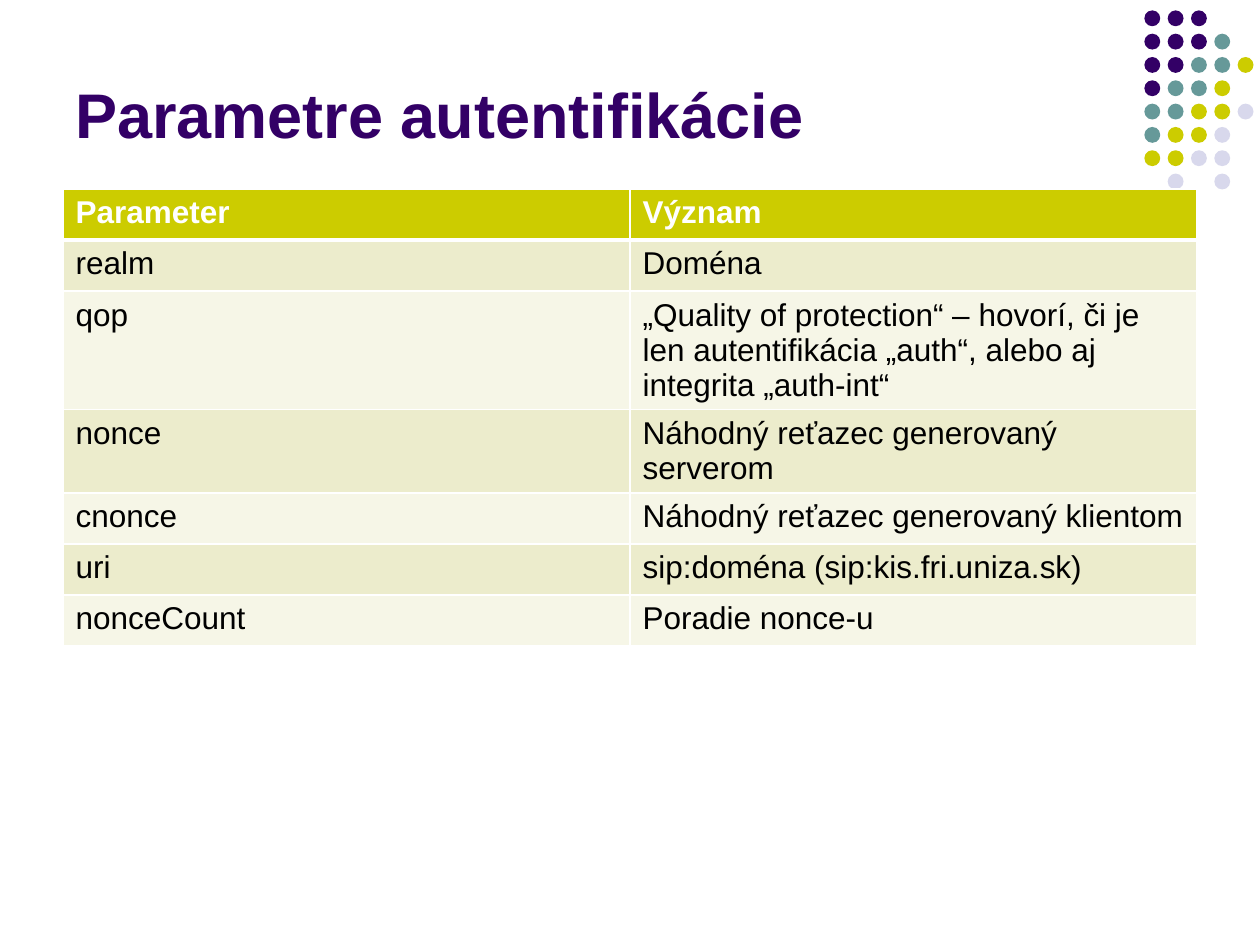
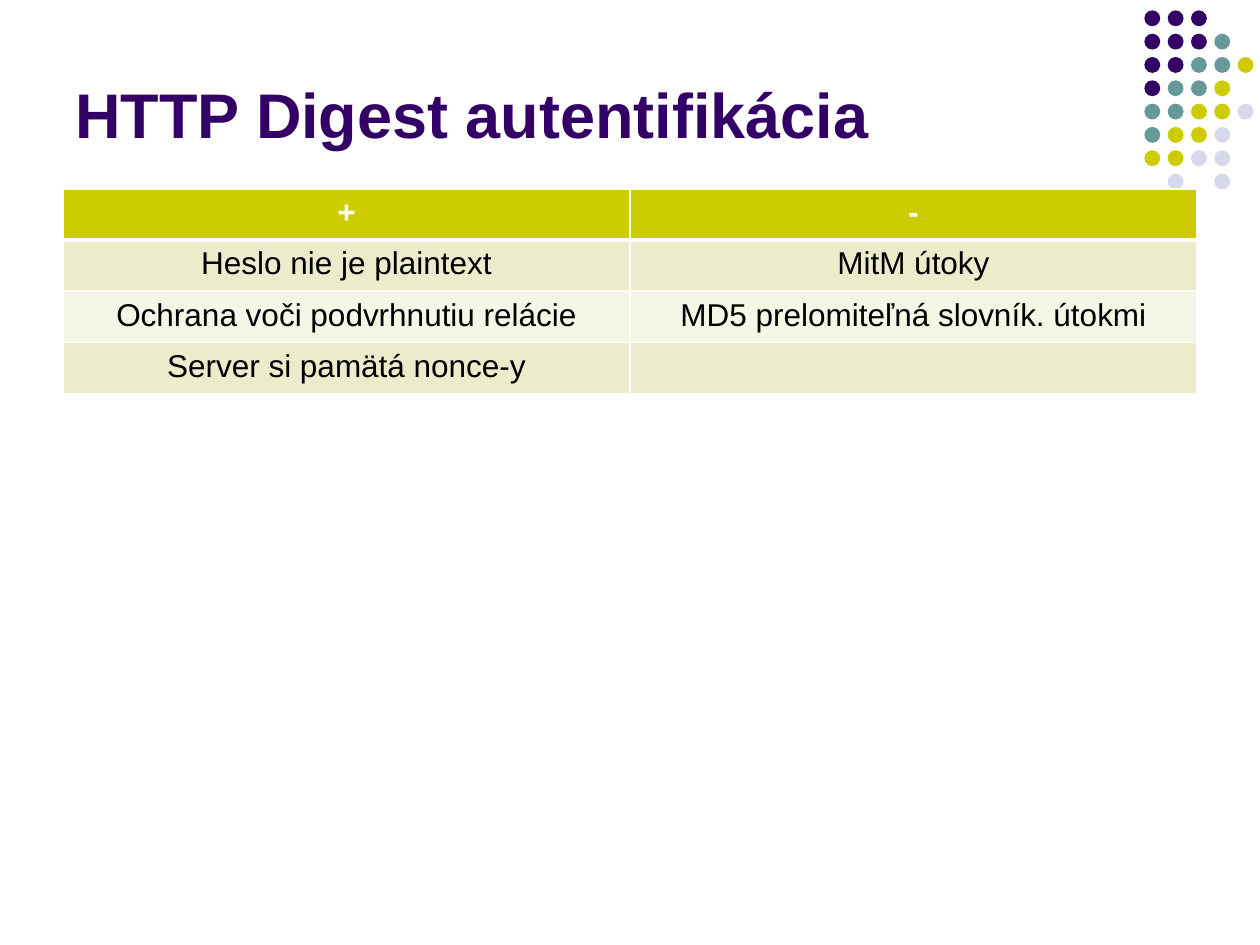
from dataclasses import dataclass

from lxml.etree import SubElement
from pptx import Presentation
from pptx.dml.color import RGBColor
from pptx.enum.shapes import MSO_SHAPE as Shape
from pptx.enum.text import MSO_ANCHOR as Anchor, PP_ALIGN as Align
from pptx.oxml.ns import qn
from pptx.slide import Slide
from pptx.table import _Cell as Cell
from pptx.text.text import _Paragraph as Paragraph
from pptx.util import Cm, Pt

PURPLE = RGBColor(0x33, 0x00, 0x66)
TEAL = RGBColor(0x66, 0x99, 0x99)
LIME = RGBColor(0xCC, 0xCC, 0x00)
LAVENDER = RGBColor(0xD8, 0xD8, 0xEC)
BAND_DARK = RGBColor(0xEC, 0xEC, 0xCC)
BAND_LIGHT = RGBColor(0xF6, 0xF6, 0xE7)
WHITE = RGBColor(0xFF, 0xFF, 0xFF)
BLACK = RGBColor(0x00, 0x00, 0x00)

FONT = "Arial"
MARGIN = Cm(1.27)
TABLE_TOP = Cm(3.81)
COLUMN_WIDTH = Cm(11.43)
ROW_HEIGHT = Cm(1.03)

DOT_ROWS = ("PPP", "PPPT", "PPTTL", "PTTL", "TTLLV", "TLLV", "LLVV", " V V")
DOT_COLORS = {"P": PURPLE, "T": TEAL, "L": LIME, "V": LAVENDER}
DOT_LEFT, DOT_TOP = Cm(23.07), Cm(0.21)
DOT_SIZE, DOT_PITCH = Cm(0.32), Cm(0.47)


@dataclass(frozen=True)
class TableSlide:
    title: str
    rows: tuple[tuple[str, str], ...]
    align: Align = Align.LEFT


SLIDES = (
    TableSlide("Parametre autentifikácie", (
        ("Parameter", "Význam"),
        ("realm", "Doména"),
        ("qop", "„Quality of protection“ – hovorí, či je len autentifikácia "
                "„auth“, alebo aj integrita „auth-int“"),
        ("nonce", "Náhodný reťazec generovaný serverom"),
        ("cnonce", "Náhodný reťazec generovaný klientom"),
        ("uri", "sip:doména (sip:kis.fri.uniza.sk)"),
        ("nonceCount", "Poradie nonce-u"),
    )),
    TableSlide("HTTP Digest autentifikácia", (
        ("+", "-"),
        ("Heslo nie je plaintext", "MitM útoky"),
        ("Ochrana voči podvrhnutiu relácie", "MD5 prelomiteľná slovník. útokmi"),
        ("Server si pamätá nonce-y", ""),
    ), Align.CENTER),
)


def format_runs(p: Paragraph, size: int, color: RGBColor, bold: bool) -> None:
    for r in p.runs:
        r.font.name = FONT
        r.font.size = Pt(size)
        r.font.bold = bold
        r.font.color.rgb = color


def draw_dots(s: Slide) -> None:
    group = s.shapes.add_group_shape()
    for row, codes in enumerate(DOT_ROWS):
        for col, code in enumerate(codes):
            if code not in DOT_COLORS:
                continue
            dot = group.shapes.add_shape(
                Shape.OVAL, DOT_LEFT + col * DOT_PITCH,
                DOT_TOP + row * DOT_PITCH, DOT_SIZE, DOT_SIZE)
            dot.shadow.inherit = False
            dot.fill.solid()
            dot.fill.fore_color.rgb = DOT_COLORS[code]
            dot.line.fill.background()


def draw_title(s: Slide, title: str) -> None:
    tf = s.shapes.add_textbox(MARGIN, Cm(0.33), Cm(21.59), Cm(2.84)).text_frame
    tf.word_wrap = True
    tf.vertical_anchor = Anchor.BOTTOM
    tf.text = title
    format_runs(tf.paragraphs[0], 36, PURPLE, True)


def set_borders(cell: Cell, row: int) -> None:
    tc_pr = cell._tc.get_or_add_tcPr()
    widths = {"L": 1, "R": 1, "T": 3 if row == 1 else 1, "B": 3 if row == 0 else 1}
    for side, width in widths.items():
        line = SubElement(tc_pr, qn(f"a:ln{side}"), w=str(Pt(width)))
        fill = SubElement(line, qn("a:solidFill"))
        SubElement(fill, qn("a:srgbClr"), val=str(WHITE))


def draw_table(s: Slide, rows: tuple[tuple[str, str], ...], align: Align) -> None:
    n_cols = len(rows[0])
    table = s.shapes.add_table(
        len(rows), n_cols, MARGIN, TABLE_TOP,
        n_cols * COLUMN_WIDTH, len(rows) * ROW_HEIGHT).table
    for row, texts in enumerate(rows):
        header = row == 0
        band = BAND_DARK if row % 2 else BAND_LIGHT
        for col, text in enumerate(texts):
            cell = table.cell(row, col)
            set_borders(cell, row)
            cell.fill.solid()
            cell.fill.fore_color.rgb = LIME if header else band
            cell.text_frame.text = text
            p = cell.text_frame.paragraphs[0]
            p.alignment = align
            format_runs(p, 18, WHITE if header else BLACK, header)


def main() -> None:
    prs = Presentation()
    prs.slide_width, prs.slide_height = Cm(25.4), Cm(19.05)
    for content in SLIDES:
        s = prs.slides.add_slide(prs.slide_layouts[6])
        draw_dots(s)
        draw_table(s, content.rows, content.align)
        draw_title(s, content.title)
    prs.save("out.pptx")


if __name__ == "__main__":
    main()
